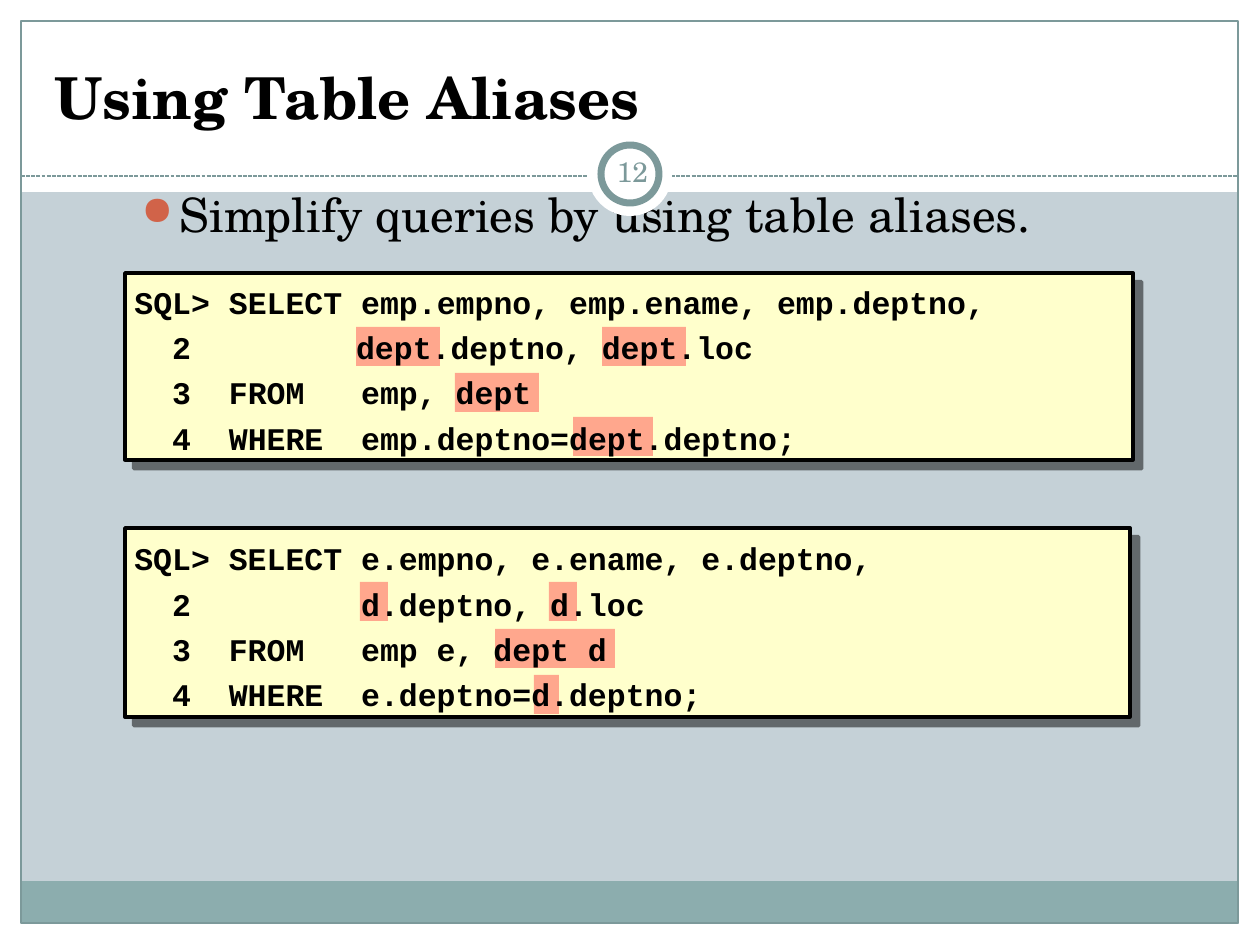
from typing import NamedTuple

from lxml import etree
from pptx import Presentation
from pptx.dml.color import RGBColor
from pptx.enum.dml import MSO_LINE
from pptx.enum.shapes import MSO_CONNECTOR, MSO_SHAPE
from pptx.enum.text import MSO_ANCHOR, MSO_AUTO_SIZE, PP_ALIGN
from pptx.oxml.ns import qn
from pptx.util import Emu, Inches, Pt

RECTANGLE, OVAL = MSO_SHAPE.RECTANGLE, MSO_SHAPE.OVAL
STRAIGHT = MSO_CONNECTOR.STRAIGHT
SYSTEM_DASH = MSO_LINE.SQUARE_DOT
TOP, MIDDLE, BOTTOM = MSO_ANCHOR.TOP, MSO_ANCHOR.MIDDLE, MSO_ANCHOR.BOTTOM
LEFT, CENTER = PP_ALIGN.LEFT, PP_ALIGN.CENTER
NO_AUTOFIT = MSO_AUTO_SIZE.NONE

PAGE_WIDTH, PAGE_HEIGHT = 1260, 945
SCALE = Inches(10) / PAGE_WIDTH
SERIF, MONO = "TeX Gyre Schola", "Courier New"

WHITE = RGBColor(0xFF, 0xFF, 0xFF)
BLACK = RGBColor(0x00, 0x00, 0x00)
BACKDROP = RGBColor(0xC5, 0xD1, 0xD7)
FOOTER = RGBColor(0x8C, 0xAD, 0xAE)
TEAL = RGBColor(0x7C, 0x99, 0x9A)
CREAM = RGBColor(0xFF, 0xFF, 0xCC)
HIGHLIGHT = RGBColor(0xFF, 0x50, 0x50)
BULLET = RGBColor(0xD1, 0x63, 0x49)


class Box(NamedTuple):
    left: int
    top: int
    width: int
    height: int


class CodeBlock(NamedTuple):
    panel: Box
    text: Box
    lines: list[str]
    highlights: list[Box]


MARK_HEIGHT = 39
BLOCKS = [
    CodeBlock(
        Box(125, 273, 1008, 187),
        Box(122, 271, 1012, 190),
        [
            "SQL> SELECT emp.empno, emp.ename, emp.deptno,",
            "  2\t   dept.deptno, dept.loc",
            "  3  FROM   emp, dept",
            "  4  WHERE  emp.deptno=dept.deptno;",
        ],
        [
            Box(356, 327, 84, MARK_HEIGHT),
            Box(602, 327, 84, MARK_HEIGHT),
            Box(455, 373, 84, MARK_HEIGHT),
            Box(573, 417, 80, MARK_HEIGHT),
        ],
    ),
    CodeBlock(
        Box(125, 528, 1005, 189),
        Box(122, 526, 1009, 193),
        [
            "SQL> SELECT e.empno, e.ename, e.deptno,",
            "  2         d.deptno, d.loc",
            "  3  FROM   emp e, dept d",
            "  4  WHERE  e.deptno=d.deptno;",
        ],
        [
            Box(360, 582, 28, MARK_HEIGHT),
            Box(549, 582, 28, MARK_HEIGHT),
            Box(495, 629, 120, MARK_HEIGHT),
            Box(534, 675, 25, MARK_HEIGHT),
        ],
    ),
]


def px(length: int) -> Emu:
    return Emu(round(length * SCALE))


def place(shape, box: Box) -> None:
    shape.left, shape.top, shape.width, shape.height = map(px, box)


def add_element(parent, tag: str, **attributes: str):
    return etree.SubElement(parent, qn(tag), attributes)


def add_figure(shapes, kind, box: Box, fill: RGBColor | None = None,
               line: RGBColor | None = None, weight: float = 0):
    figure = shapes.add_shape(kind, *map(px, box))
    figure.shadow.inherit = False
    if fill is None:
        figure.fill.background()
    else:
        figure.fill.solid()
        figure.fill.fore_color.rgb = fill
    if line is None:
        figure.line.fill.background()
    else:
        figure.line.color.rgb = line
        figure.line.width = Pt(weight)
    return figure


def format_para(para, font: str, size: int, color: RGBColor, bold: bool = False) -> None:
    para.font.name = font
    para.font.size = Pt(size)
    para.font.color.rgb = color
    para.font.bold = bold


def add_text(shapes, box: Box, lines: list[str], anchor):
    frame = shapes.add_textbox(*map(px, box)).text_frame
    frame.word_wrap = True
    frame.vertical_anchor = anchor
    frame.text = "\n".join(lines)
    return frame


def add_panel(shapes, box: Box) -> None:
    panel = add_figure(shapes, RECTANGLE, box, CREAM, BLACK, 2)
    effects = panel._element.spPr.find(qn("a:effectLst"))
    shadow = add_element(effects, "a:outerShdw", blurRad="0", dist=str(Pt(7.1)),
                         dir="2700000", algn="ctr", rotWithShape="0")
    color = add_element(shadow, "a:srgbClr", val=str(BLACK))
    add_element(color, "a:alpha", val="50000")


def add_highlight(shapes, box: Box) -> None:
    mark = add_figure(shapes, RECTANGLE, box, HIGHLIGHT)
    color = mark._element.spPr.find(qn("a:solidFill")).find(qn("a:srgbClr"))
    add_element(color, "a:alpha", val="50000")


def add_code(shapes, block: CodeBlock) -> None:
    add_panel(shapes, block.panel)
    for mark in block.highlights:
        add_highlight(shapes, mark)
    for para in add_text(shapes, block.text, block.lines, MIDDLE).paragraphs:
        para.line_spacing = 1.2
        tabs = add_element(para._p.get_or_add_pPr(), "a:tabLst")
        add_element(tabs, "a:tab", pos=str(px(165)), algn="l")
        format_para(para, MONO, 18, BLACK, True)


def add_bullet_line(shapes, box: Box, text: str) -> None:
    para = add_text(shapes, box, [text], TOP).paragraphs[0]
    para.space_before = Pt(5)
    properties = para._p.get_or_add_pPr()
    properties.set("marL", str(px(38)))
    properties.set("indent", str(-px(38)))
    color = add_element(properties, "a:buClr")
    add_element(color, "a:srgbClr", val=str(BULLET))
    add_element(properties, "a:buSzPct", val="85000")
    add_element(properties, "a:buChar", char="●")
    format_para(para, SERIF, 27, BLACK)


def add_frame(shapes) -> None:
    for edge in (
        Box(0, 924, PAGE_WIDTH, 21),
        Box(0, 0, PAGE_WIDTH, 192),
        Box(0, 0, 21, PAGE_HEIGHT),
        Box(1239, 0, 21, PAGE_HEIGHT),
    ):
        add_figure(shapes, RECTANGLE, edge, WHITE)
    add_figure(shapes, RECTANGLE, Box(21, 881, 1217, 43), FOOTER)
    add_figure(shapes, RECTANGLE, Box(21, 21, 1217, 902), None, TEAL, 0.75)
    rule = shapes.add_connector(STRAIGHT, px(21), px(176), px(1239), px(176))
    rule.line.color.rgb = TEAL
    rule.line.width = Pt(0.75)
    rule.line.dash_style = SYSTEM_DASH
    add_element(rule._element.spPr, "a:effectLst")


def add_page_number(shapes, number: str) -> None:
    add_figure(shapes, OVAL, Box(588, 132, 84, 84), WHITE)
    add_figure(shapes, OVAL, Box(601, 145, 58, 58), WHITE, TEAL, 4)
    frame = add_text(shapes, Box(601, 141, 63, 60), [number], MIDDLE)
    frame.margin_left = frame.margin_right = px(6)
    frame.paragraphs[0].alignment = CENTER
    format_para(frame.paragraphs[0], SERIF, 16, TEAL)


def format_title(shapes, text: str) -> None:
    title = shapes.title
    place(title, Box(42, 32, 1176, 105))
    shapes._spTree.append(title._element)
    frame = title.text_frame
    frame.text = text
    frame.auto_size = NO_AUTOFIT
    frame.vertical_anchor = BOTTOM
    frame.paragraphs[0].alignment = LEFT
    format_para(frame.paragraphs[0], SERIF, 33, BLACK, True)


def main() -> None:
    deck = Presentation()
    deck.slide_width, deck.slide_height = px(PAGE_WIDTH), px(PAGE_HEIGHT)
    page = deck.slides.add_slide(deck.slide_layouts[5])
    page.background.fill.solid()
    page.background.fill.fore_color.rgb = BACKDROP
    add_frame(page.shapes)
    format_title(page.shapes, "Using Table Aliases")
    add_bullet_line(page.shapes, Box(129, 179, 1018, 69),
                    "Simplify queries by using table aliases.")
    add_page_number(page.shapes, "12")
    for block in BLOCKS:
        add_code(page.shapes, block)
    deck.save("out.pptx")


if __name__ == "__main__":
    main()
